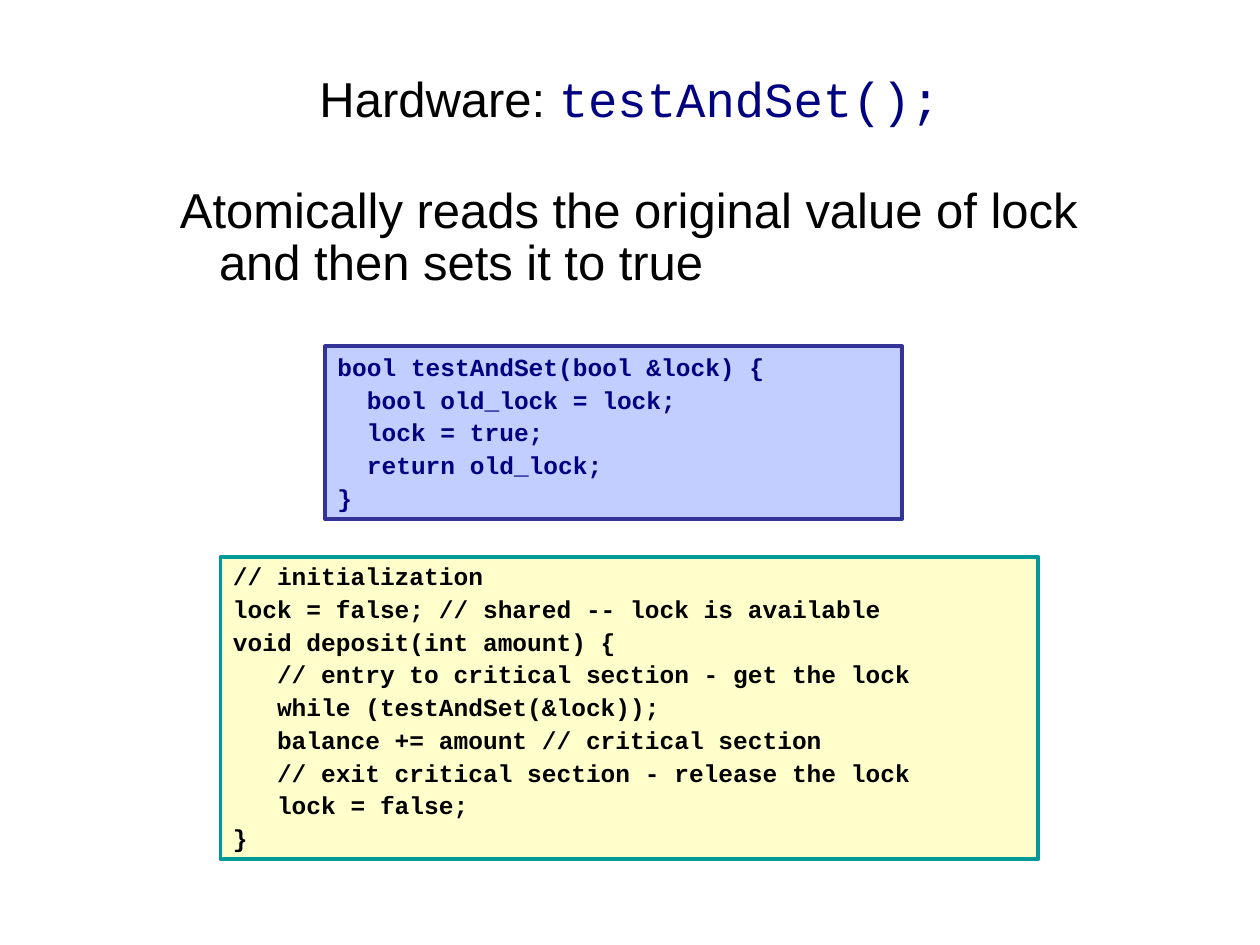
from pptx import Presentation
from pptx import util as u
from pptx.dml.color import RGBColor
from pptx.enum import shapes, text

BLACK = RGBColor(0x00, 0x00, 0x00)
NAVY = RGBColor(0x00, 0x00, 0x80)
BLUE = RGBColor(0xC1, 0xCE, 0xFF)
INDIGO = RGBColor(0x33, 0x33, 0x99)
CREAM = RGBColor(0xFF, 0xFF, 0xCC)
TEAL = RGBColor(0x00, 0x99, 0x99)
SANS, MONO = "Arial", "Courier New"

deck = Presentation()
deck.slide_width, deck.slide_height = u.Inches(10), u.Inches(7.5)
slide = deck.slides.add_slide(deck.slide_layouts[6])


def write(para, words, size=28, face=SANS, color=BLACK, bold=False):
    run = para.add_run()
    run.text = words
    font = run.font
    font.size, font.name, font.bold = u.Pt(size), face, bold
    font.color.rgb = color


# Title
title = slide.shapes.add_textbox(*map(u.Inches, (0.5, 0.3, 9, 0.95)))
frame = title.text_frame
frame.word_wrap = True
frame.vertical_anchor = text.MSO_ANCHOR.MIDDLE
para = frame.paragraphs[0]
para.alignment = text.PP_ALIGN.CENTER
write(para, "Hardware: ")
write(para, "testAndSet();", face=MONO, color=NAVY)

# Statement with a hanging indent
body = slide.shapes.add_textbox(*map(u.Inches, (0.83, 1.43, 8.42, 1.18)))
frame = body.text_frame
frame.word_wrap = True
para = frame.paragraphs[0]
para.line_spacing = 0.89
props = para._p.get_or_add_pPr()
props.set("marL", str(u.Inches(0.81)))
props.set("indent", str(u.Inches(-0.31)))
write(para, "Atomically reads the original value of lock and then sets it to true")

# Code boxes: place, fill, line, text colour, code
boxes = [
    ((2.58, 2.75, 4.58, 1.37), BLUE, INDIGO, NAVY, """\
bool testAndSet(bool &lock) {
  bool old_lock = lock;
  lock = true;
  return old_lock;
}"""),
    ((1.75, 4.42, 6.49, 2.4), CREAM, TEAL, BLACK, """\
// initialization
lock = false; // shared -- lock is available
void deposit(int amount) {
   // entry to critical section - get the lock
   while (testAndSet(&lock));
   balance += amount // critical section
   // exit critical section - release the lock
   lock = false;
}"""),
]
for place, fill, line, color, code in boxes:
    box = slide.shapes.add_shape(shapes.MSO_SHAPE.RECTANGLE, *map(u.Inches, place))
    box.shadow.inherit = False
    box.fill.solid()
    box.fill.fore_color.rgb = fill
    box.line.color.rgb = line
    box.line.width = u.Pt(2.25)
    frame = box.text_frame
    frame.word_wrap = True
    frame.vertical_anchor = text.MSO_ANCHOR.BOTTOM
    for row, words in enumerate(code.split("\n")):
        para = frame.add_paragraph() if row else frame.paragraphs[0]
        para.alignment = text.PP_ALIGN.LEFT
        para.line_spacing = 0.9
        if row:
            para.space_before = u.Pt(3.6)
        write(para, words, size=14, face=MONO, color=color, bold=True)

deck.save("out.pptx")
